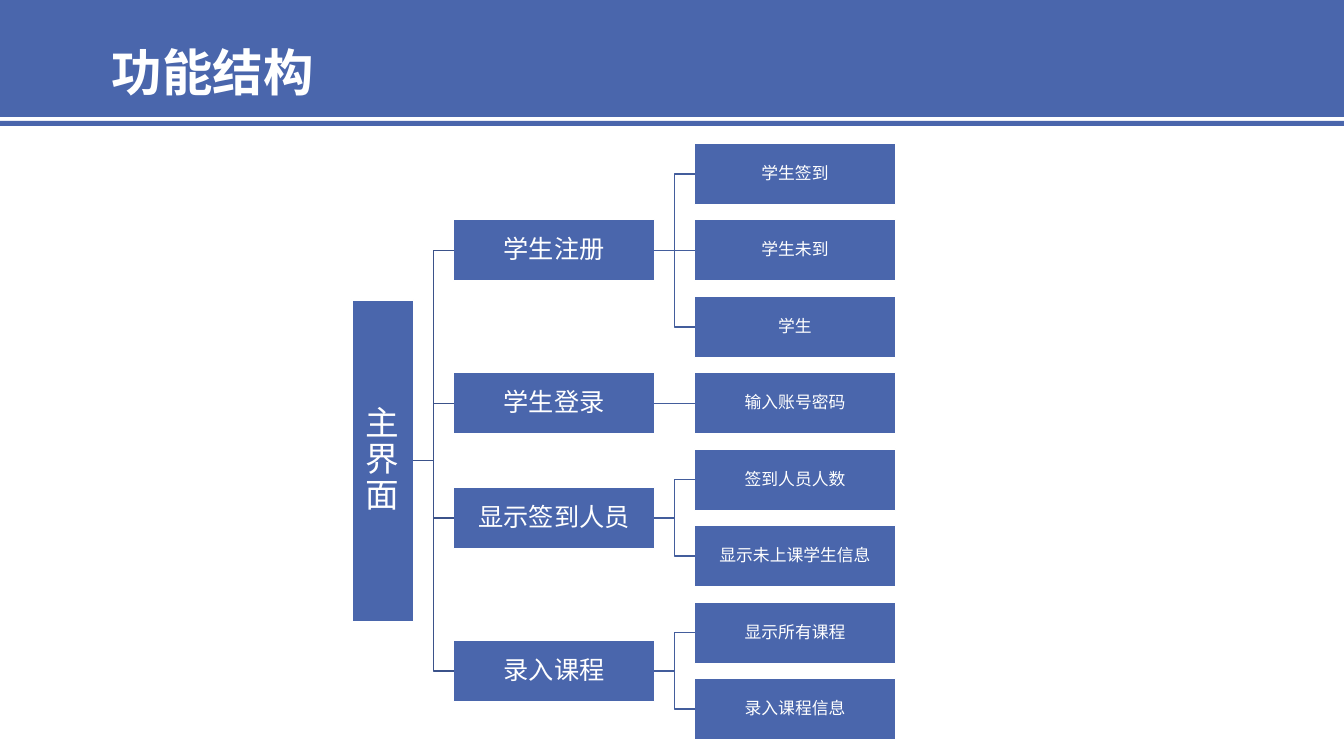
import dataclasses

import lxml.etree
import pptx
import pptx.dml.color
import pptx.enum.shapes
import pptx.enum.text
import pptx.oxml.ns
import pptx.util

Inches = pptx.util.Inches
Pt = pptx.util.Pt
RGB = pptx.dml.color.RGBColor.from_string
qn = pptx.oxml.ns.qn
CONNECTOR = pptx.enum.shapes.MSO_CONNECTOR
ALIGN = pptx.enum.text.PP_ALIGN
ANCHOR = pptx.enum.text.MSO_ANCHOR


@dataclasses.dataclass
class Theme:
    font: str = "Noto Sans CJK SC"
    blue: str = "4A66AC"
    root_line: str = "3B528A"
    branch_line: str = "435D9C"
    white: str = "FFFFFF"
    title_size: int = 36
    root_size: int = 24
    branch_size: int = 18
    leaf_size: int = 12


TITLE = "功能结构"
ROOT = "主界面"
BRANCHES = [
    ("学生注册", ["学生签到", "学生未到", "学生"]),
    ("学生登录", ["输入账号密码"]),
    ("显示签到人员", ["签到人员人数", "显示未上课学生信息"]),
    ("录入课程", ["显示所有课程", "录入课程信息"]),
]

SLIDE_W, SLIDE_H = 13.33, 7.5
ROOT_X, BRANCH_X, LEAF_X = 3.49, 4.5, 6.89
NODE_W, NODE_H = 1.99, 0.61
ROOT_H = 3.19
FIRST_LEAF_Y, LAST_LEAF_Y = 1.42, 6.73
RIGHT_SITE, LEFT_SITE = 3, 1


class SlideBuilder:
    def __init__(self, slide, theme):
        self.s = slide
        self.theme = theme

    def format_text(self, tf, size, bold=False):
        for p in tf.paragraphs:
            for r in p.runs:
                r.font.size = Pt(size)
                r.font.bold = bold
                r.font.name = self.theme.font
                r.font.color.rgb = RGB(self.theme.white)
                ea = lxml.etree.SubElement(r.font._element, qn("a:ea"))
                ea.set("typeface", self.theme.font)

    def title(self, text, x, y, w, h):
        sp = self.s.shapes.title
        sp.left, sp.top, sp.width, sp.height = map(Inches, (x, y, w, h))
        # Bring the title in front of the header band.
        sp._element.getparent().append(sp._element)
        tf = sp.text_frame
        tf.text = text
        tf.word_wrap = True
        tf.auto_size = pptx.enum.text.MSO_AUTO_SIZE.NONE
        tf.vertical_anchor = ANCHOR.TOP
        tf.paragraphs[0].alignment = ALIGN.LEFT
        tf.paragraphs[0].line_spacing = 1.5
        self.format_text(tf, self.theme.title_size, bold=True)

    def bar(self, x, y, w, h):
        """Add a plain blue rectangle without an outline."""
        sp = self.s.shapes.add_shape(
            pptx.enum.shapes.MSO_SHAPE.RECTANGLE, *map(Inches, (x, y, w, h)))
        sp.shadow.inherit = False
        sp.fill.solid()
        sp.fill.fore_color.rgb = RGB(self.theme.blue)
        sp.line.fill.background()
        return sp

    def node(self, text, x, y, size, w=NODE_W, h=NODE_H):
        sp = self.bar(x, y, w, h)
        sp.line.color.rgb = RGB(self.theme.white)
        sp.line.width = Pt(1)
        tf = sp.text_frame
        tf.text = text
        tf.word_wrap = True
        tf.vertical_anchor = ANCHOR.MIDDLE
        tf.margin_left = tf.margin_right = Inches(0.01)
        tf.margin_top = tf.margin_bottom = Inches(0.01)
        tf.paragraphs[0].alignment = ALIGN.CENTER
        tf.paragraphs[0].line_spacing = 0.9
        self.format_text(tf, size)
        return sp

    def link(self, parent, child, color):
        """Join the parent's right side to the child's left side."""
        y1 = parent.top + parent.height // 2
        y2 = child.top + child.height // 2
        level = abs(y1 - y2) < Inches(0.01)
        kind = CONNECTOR.STRAIGHT if level else CONNECTOR.ELBOW
        line = self.s.shapes.add_connector(
            kind, parent.left + parent.width, y1, child.left, y2)
        line.begin_connect(parent, RIGHT_SITE)
        line.end_connect(child, LEFT_SITE)
        line.line.color.rgb = RGB(color)
        line.line.width = Pt(1)
        lxml.etree.SubElement(line._element.spPr, qn("a:effectLst"))


def draw_tree(b):
    theme = b.theme
    leaf_count = sum(len(leaves) for _, leaves in BRANCHES)
    pitch = (LAST_LEAF_Y - FIRST_LEAF_Y) / (leaf_count - 1)
    branch_nodes, branch_ys = [], []
    row = 0
    for name, leaves in BRANCHES:
        leaf_ys = [FIRST_LEAF_Y + pitch * (row + i) for i in range(len(leaves))]
        row += len(leaves)
        y = (leaf_ys[0] + leaf_ys[-1]) / 2
        branch = b.node(name, BRANCH_X, y, theme.branch_size)
        branch_nodes.append(branch)
        branch_ys.append(y)
        for leaf, leaf_y in zip(leaves, leaf_ys):
            leaf_node = b.node(leaf, LEAF_X, leaf_y, theme.leaf_size)
            b.link(branch, leaf_node, theme.branch_line)

    root_y = (branch_ys[0] + branch_ys[-1] + NODE_H - ROOT_H) / 2
    root = b.node(ROOT, ROOT_X, root_y, theme.root_size, NODE_H, ROOT_H)
    for branch in branch_nodes:
        b.link(root, branch, theme.root_line)


def main():
    prs = pptx.Presentation()
    prs.slide_width, prs.slide_height = Inches(SLIDE_W), Inches(SLIDE_H)
    title_only = prs.slide_layouts[5]
    b = SlideBuilder(prs.slides.add_slide(title_only), Theme())
    b.bar(0, 0, SLIDE_W, 1.16)
    b.bar(0, 1.2, SLIDE_W, 0.05)
    b.title(TITLE, 1.01, 0.06, 6.24, 0.92)
    draw_tree(b)
    prs.save("out.pptx")


if __name__ == "__main__":
    main()
